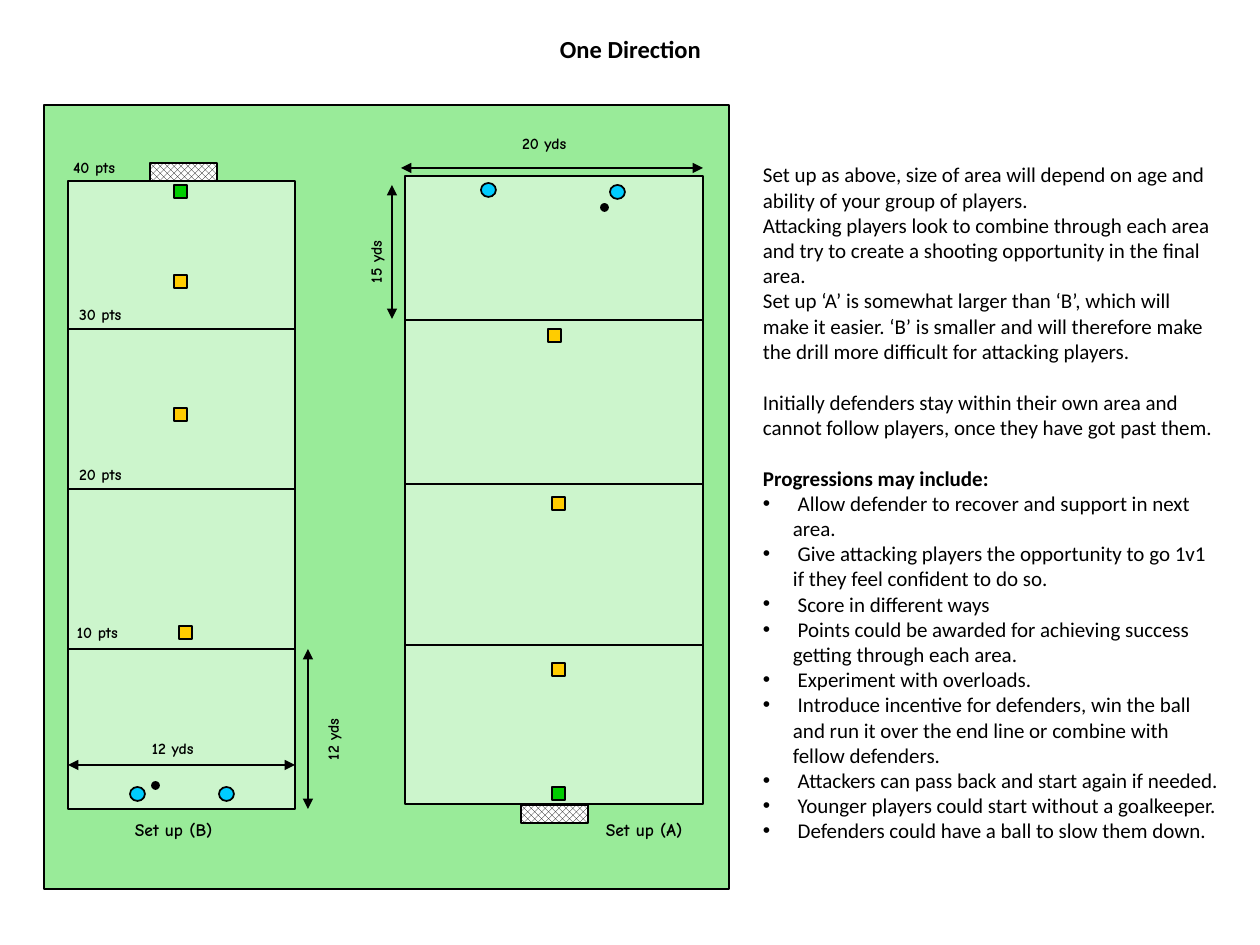
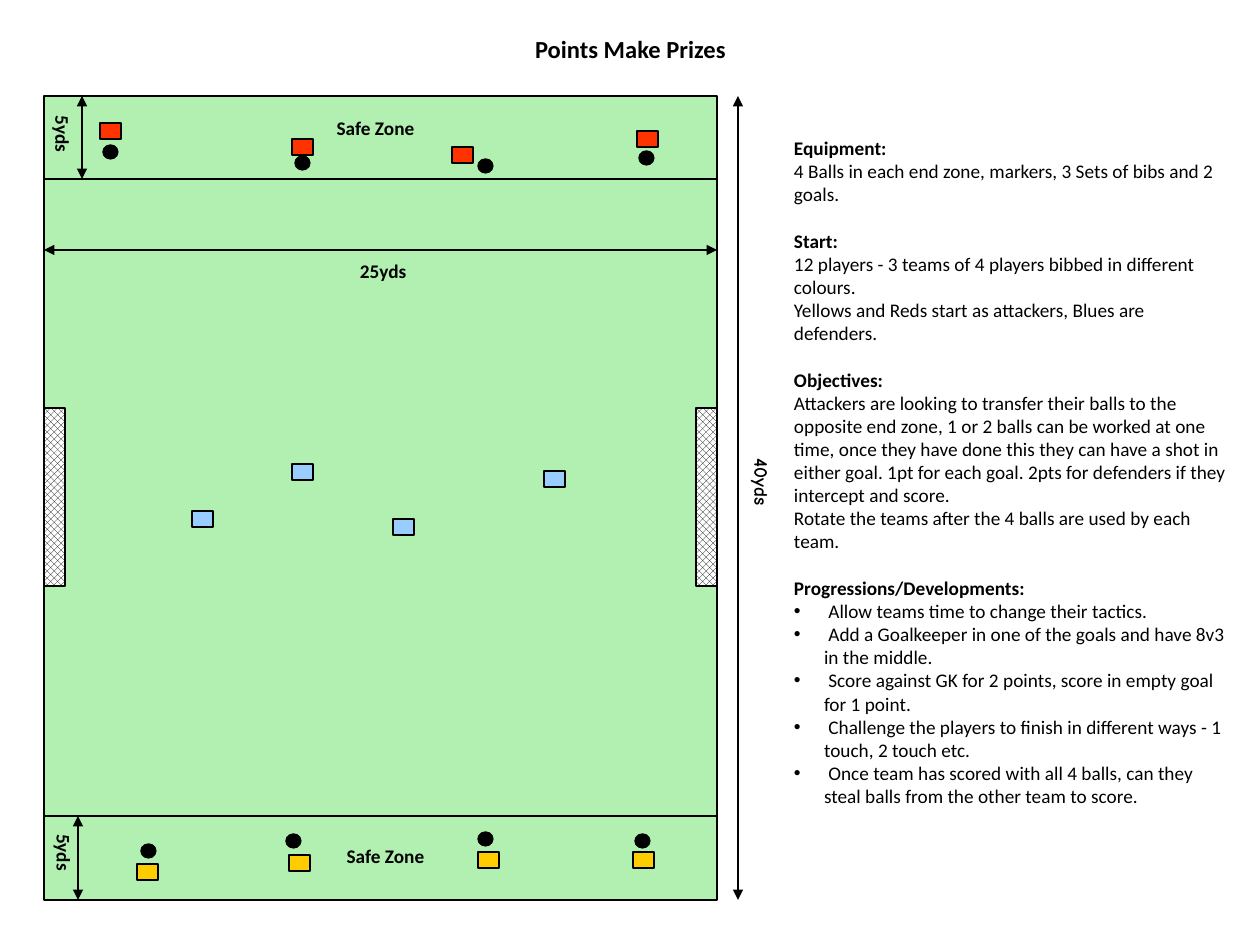
from pptx import Presentation
from pptx import util as u
from pptx.dml import color
from pptx.enum import dml, shapes, text
from pptx.oxml import parse_xml
from pptx.oxml.ns import nsdecls, qn
from lxml import etree

PX = 914400 / 126
HUES = {
    "ink": "000000", "paper": "FFFFFF", "grass": "99EB99", "pitch": "CCF5CC",
    "lawn": "B2F0B2", "gold": "FFCC00", "cyan": "00CCFF", "green": "00CC00",
    "sky": "99CCFF", "red": "FF3300",
}
RGB = {name: color.RGBColor.from_string(code) for name, code in HUES.items()}
RECT = shapes.MSO_SHAPE.RECTANGLE
OVAL = shapes.MSO_SHAPE.OVAL
LEFT, MID = text.PP_ALIGN.LEFT, text.PP_ALIGN.CENTER
BODY, HAND = "Calibri", "Comic Neue"


def mark(page, form, place, hue, width=1):
    item = page.shapes.add_shape(form, *[round(n * PX) for n in place])
    item.shadow.inherit = False
    if hue == "net":
        item.fill.patterned()
        item.fill.pattern = dml.MSO_PATTERN.OUTLINED_DIAMOND
        item.fill.fore_color.rgb = RGB["ink"]
        item.fill.back_color.rgb = RGB["paper"]
    else:
        item.fill.solid()
        item.fill.fore_color.rgb = RGB[hue]
    item.line.color.rgb = RGB["ink"]
    item.line.width = u.Pt(width)


def rule(page, ends, heads=False):
    item = page.shapes.add_connector(
        shapes.MSO_CONNECTOR.STRAIGHT, *[round(n * PX) for n in ends])
    item.line.color.rgb = RGB["ink"]
    item.line.width = u.Pt(0.75)
    props = item._element.spPr
    if heads:
        for tag in ("a:headEnd", "a:tailEnd"):
            etree.SubElement(props.find(qn("a:ln")), qn(tag), type="triangle")
    etree.SubElement(props, qn("a:effectLst"))


deck = Presentation()
deck.slide_width, deck.slide_height = round(1260 * PX), round(945 * PX)
one, two = [deck.slides.add_slide(deck.slide_layouts[6]) for _ in range(2)]

mark(one, RECT, (44, 105, 685, 784), "grass", 0.75)
setups = [
    {"pitch": (405, 176, 298, 628), "goal": (521, 805), "rows": (320, 484, 645),
     "gold": [(552, 663), (548, 329), (552, 497)], "keeper": (552, 787),
     "cyan": [(481, 183), (610, 185)], "ball": (601, 204),
     "spans": [(401, 168, 703, 168), (392, 185, 392, 319)]},
    {"pitch": (68, 181, 227, 628), "goal": (150, 163), "rows": range(329, 650, 160),
     "gold": [(179, 626), (174, 408), (174, 275)], "keeper": (174, 185),
     "cyan": [(130, 787), (219, 787)], "ball": (152, 782),
     "spans": [(308, 649, 308, 809), (68, 765, 295, 765)]},
]
for plan in setups:
    left, _, wide, _ = plan["pitch"]
    mark(one, RECT, plan["pitch"], "pitch", 0.75)
    mark(one, RECT, (*plan["goal"], 67, 18), "net")
    for y in plan["rows"]:
        rule(one, (left, y, left + wide, y))
    for spot in plan["gold"]:
        mark(one, RECT, (*spot, 13, 13), "gold")
    for spot in plan["cyan"]:
        mark(one, OVAL, (*spot, 15, 14), "cyan")
    mark(one, RECT, (*plan["keeper"], 13, 13), "green")
    mark(one, OVAL, (*plan["ball"], 7, 7), "ink")
    for span in plan["spans"]:
        rule(one, span, True)

mark(two, RECT, (44, 96, 673, 804), "lawn", 0.75)
for x in (44, 696):
    mark(two, RECT, (x, 408, 21, 178), "net")
for y in (179, 816):
    rule(two, (44, y, 717, y))
teams = {
    "sky": [(192, 511), (292, 464), (393, 519), (544, 471)],
    "red": [(100, 123), (292, 139), (452, 147), (637, 131)],
    "gold": [(137, 864), (289, 855), (478, 852), (633, 852)],
}
for hue, spots in teams.items():
    for spot in spots:
        mark(two, RECT, (*spot, 21, 16), hue, 0.75)
balls = [(103, 145), (295, 156), (478, 159), (639, 151),
         (141, 844), (286, 834), (478, 832), (635, 834)]
for spot in balls:
    mark(two, OVAL, (*spot, 15, 14), "ink", 0.75)
for span in [(82, 96, 82, 179), (78, 816, 78, 900), (738, 96, 738, 900),
             (44, 250, 717, 250)]:
    rule(two, span, True)

labels = [
    (one, "One Direction", (95, 28, 1071, 60), 14, BODY, MID, 0),
    (two, "Points Make Prizes", (95, 28, 1071, 60), 14, BODY, MID, 0),
    (one, "Set up (A)", (601, 814, 102, 32), 10, HAND, LEFT, 0),
    (one, "Set up (B)", (130, 814, 102, 32), 10, HAND, LEFT, 0),
    (one, "20 yds", (517, 129, 71, 26), 9, HAND, LEFT, 0),
    (one, "15 yds", (338, 239, 72, 26), 9, HAND, LEFT, 270),
    (one, "12 yds", (295, 716, 72, 26), 9, HAND, LEFT, 270),
    (one, "12 yds", (147, 734, 71, 26), 9, HAND, LEFT, 0),
    (one, "10 pts", (72, 618, 67, 26), 9, HAND, LEFT, 0),
    (one, "20 pts", (74, 460, 67, 26), 9, HAND, LEFT, 0),
    (one, "30 pts", (74, 300, 67, 26), 9, HAND, LEFT, 0),
    (one, "40 pts", (68, 153, 67, 26), 9, HAND, LEFT, 0),
    (two, "40yds", (723, 474, 76, 35), 11, HAND, LEFT, 90),
    (two, "5yds", (32, 129, 66, 29), 11, BODY, LEFT, 90),
    (two, "5yds", (37, 844, 59, 29), 11, BODY, LEFT, 90),
    (two, "Safe Zone", (310, 111, 131, 30), 11, BODY, MID, 0),
    (two, "Safe Zone", (324, 839, 123, 39), 11, BODY, MID, 0),
    (two, "25yds", (355, 254, 77, 34), 11, BODY, LEFT, 0),
]
for page, words, place, size, face, side, turn in labels:
    item = page.shapes.add_textbox(*[round(n * PX) for n in place])
    item.rotation = turn
    frame = item.text_frame
    frame.word_wrap = True
    frame.margin_left = frame.margin_right = round(5 * PX)
    frame.margin_top = frame.margin_bottom = round((6 if size == 14 else 5) * PX)
    frame.text = words
    para = frame.paragraphs[0]
    para.alignment = side
    font = para.runs[0].font
    font.name, font.size, font.bold = face, u.Pt(size), True
    font.color.rgb = RGB["ink"]

notes = [
    (one, (758, 157, 466, 738), 12, [
        ("text", "Set up as above, size of area will depend on age and ability of your group of players."),
        ("text", "Attacking players look to combine through each area and try to create a shooting opportunity in the final area."),
        ("text", "Set up ‘A’ is somewhat larger than ‘B’, which will make it easier. ‘B’ is smaller and will therefore make the drill more difficult for attacking players."),
        ("gap", "Initially defenders stay within their own area and cannot follow players, once they have got past them."),
        ("head", "Progressions may include:"),
        ("item", "Allow defender to recover and support in next area."),
        ("item", "Give attacking players the opportunity to go 1v1 if they feel confident to do so."),
        ("item", "Score in different ways"),
        ("item", "Points could be awarded for achieving success getting through each area."),
        ("item", "Experiment with overloads."),
        ("item", "Introduce incentive for defenders, win the ball and run it over the end line or combine with fellow defenders."),
        ("item", "Attackers can pass back and start again if needed."),
        ("item", "Younger players could start without a goalkeeper."),
        ("item", "Defenders could have a ball to slow them down."),
    ]),
    (two, (789, 131, 446, 814), 11, [
        ("head", "Equipment:"),
        ("text", "4 Balls in each end zone, markers, 3 Sets of bibs and 2 goals."),
        ("head", "Start:"),
        ("text", "12 players - 3 teams of 4 players bibbed in different colours."),
        ("text", "Yellows and Reds start as attackers, Blues are defenders."),
        ("head", "Objectives:"),
        ("text", "Attackers are looking to transfer their balls to the opposite end zone, 1 or 2 balls can be worked at one time, once they have done this they can have a shot in either goal. 1pt for each goal. 2pts for defenders if they intercept and score."),
        ("text", "Rotate the teams after the 4 balls are used by each team."),
        ("head", "Progressions/Developments:"),
        ("item", "Allow teams time to change their tactics."),
        ("item", "Add a Goalkeeper in one of the goals and have 8v3 in the middle."),
        ("item", "Score against GK for 2 points, score in empty goal for 1 point."),
        ("item", "Challenge the players to finish in different ways - 1 touch, 2 touch etc."),
        ("item", "Once team has scored with all 4 balls, can they steal balls from the other team to score."),
    ]),
]
for page, place, size, lines in notes:
    frame = page.shapes.add_textbox(*[round(n * PX) for n in place]).text_frame
    frame.word_wrap = True
    frame.margin_left = frame.margin_right = round(5 * PX)
    frame.margin_top = frame.margin_bottom = round(5 * PX)
    for i, (kind, words) in enumerate(lines):
        para = frame.add_paragraph() if i else frame.paragraphs[0]
        para.text = " " + words if kind == "item" else words
        if i and kind in ("gap", "head"):
            para.space_before = u.Pt(round(size * 1.22, 1))
        if kind == "item":
            props = para._p.get_or_add_pPr()
            props.set("marL", str(round(30 * PX)))
            props.set("indent", str(round(-30 * PX)))
            props.append(parse_xml(f'<a:buFont {nsdecls("a")} typeface="Arial"/>'))
            props.append(parse_xml(f'<a:buChar {nsdecls("a")} char="•"/>'))
        font = para.runs[0].font
        font.name, font.size, font.bold = BODY, u.Pt(size), kind == "head"
        font.color.rgb = RGB["ink"]

deck.save("out.pptx")
